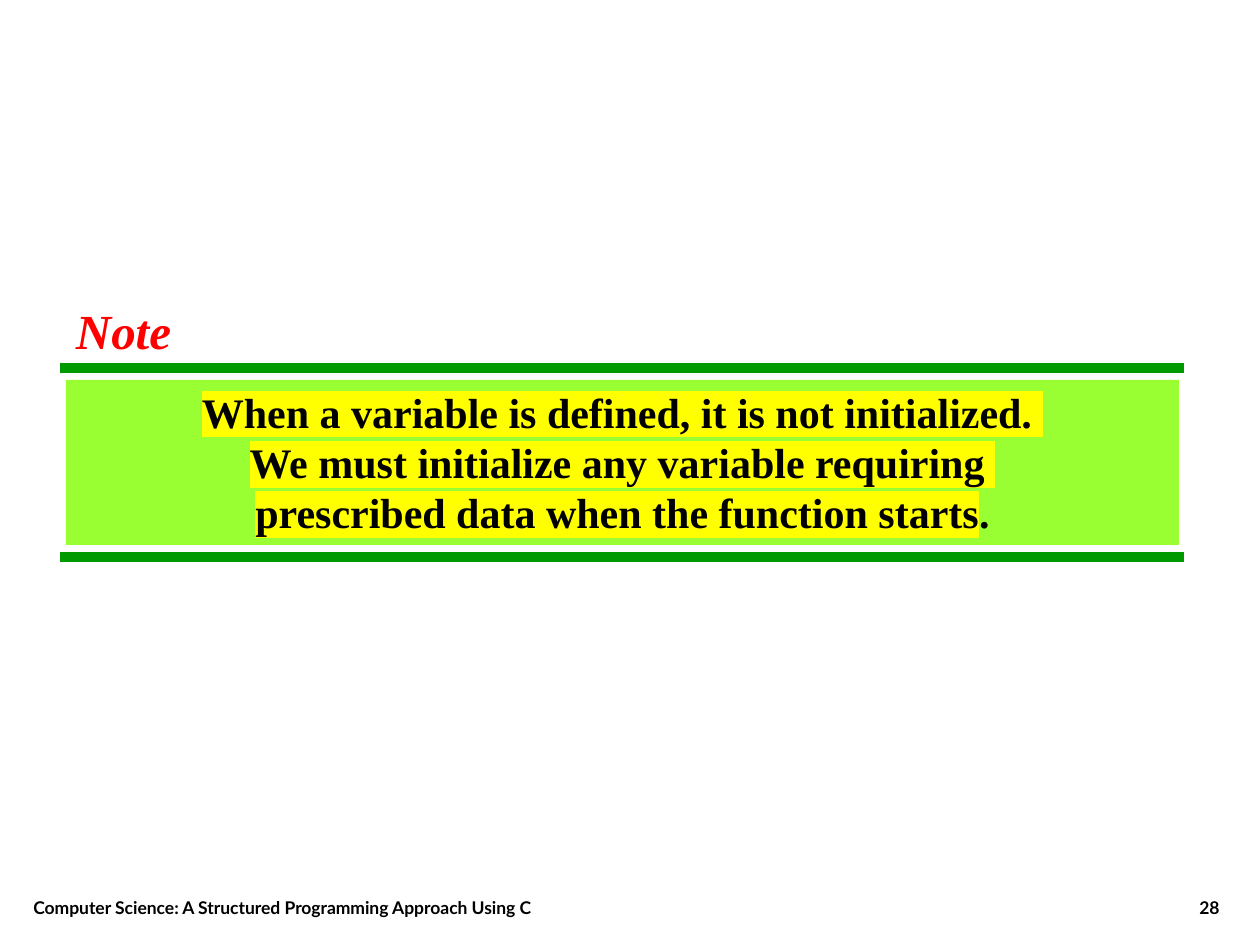
"""Builds a note slide with a highlighted statement between two green rules."""
from lxml.etree import SubElement
from pptx import Presentation
from pptx.dml.color import RGBColor as Color
from pptx.enum.shapes import MSO_CONNECTOR as Connector, MSO_SHAPE as Shape
from pptx.enum.text import MSO_ANCHOR as Anchor, PP_ALIGN as Align
from pptx.oxml.ns import qn
from pptx.util import Pt

FOOTER = "Computer Science: A Structured Programming Approach Using C"
PAGE_NUMBER = "28"
HEADING = "Note"
STATEMENT = [
    "When a variable is defined, it is not initialized. ",
    "We must initialize any variable requiring ",
    "prescribed data when the function starts",
]
STATEMENT_END = "."

THEME = {
    "ink": "000000", "heading": "FF0000", "rule": "009900",
    "panel": "99FF33", "marker": "FFFF00",
    "serif": "Times New Roman", "sans": "Lato",
    "footer_size": 10, "statement_size": 24, "heading_size": 28, "rule_width": 6,
}
EMU_PER_PIXEL = 914400 // 126
RULE_LEFT, RULE_RIGHT = 60, 1184
RULE_TOPS = (368, 557)


def px(*lengths):
    return [round(length * 914400 / 126) for length in lengths]


def add_span(para, text, font, size, color="ink", italic=False, marker=None):
    span = para.add_run()
    span.text = text
    span.font.name = THEME[font]
    span.font.size = Pt(THEME[size])
    span.font.bold = True
    span.font.italic = italic
    span.font.color.rgb = Color.from_string(THEME[color])
    if marker:
        properties = span.font._element
        highlight = SubElement(properties, qn("a:highlight"))
        SubElement(highlight, qn("a:srgbClr"), val=THEME[marker])
        properties.find(qn("a:solidFill")).addnext(highlight)


def add_label(page, text, place, align=Align.LEFT, anchor=Anchor.TOP, wrap=True, **style):
    frame = page.shapes.add_textbox(*px(*place)).text_frame
    frame.word_wrap = wrap
    frame.vertical_anchor = anchor
    frame.paragraphs[0].alignment = align
    add_span(frame.paragraphs[0], text, **style)


def add_rule(page, top):
    rule = page.shapes.add_connector(
        Connector.STRAIGHT, *px(RULE_LEFT, top, RULE_RIGHT, top))
    rule.line.color.rgb = Color.from_string(THEME["rule"])
    rule.line.width = Pt(THEME["rule_width"])
    SubElement(rule._element.spPr, qn("a:effectLst"))


def add_statement(page, place):
    panel = page.shapes.add_shape(Shape.RECTANGLE, *px(*place))
    panel.shadow.inherit = False
    panel.fill.solid()
    panel.fill.fore_color.rgb = Color.from_string(THEME["panel"])
    panel.line.fill.background()
    panel.text_frame.word_wrap = True
    panel.text_frame.vertical_anchor = Anchor.TOP
    para = panel.text_frame.paragraphs[0]
    para.alignment = Align.CENTER
    style = {"font": "serif", "size": "statement_size"}
    for index, line in enumerate(STATEMENT):
        if index:
            para.add_line_break()
        add_span(para, line, marker="marker", **style)
    add_span(para, STATEMENT_END, **style)


deck = Presentation()
deck.slide_width, deck.slide_height = px(1260, 945)
page = deck.slides.add_slide(deck.slide_layouts[6])

footer_style = {"font": "sans", "size": "footer_size", "anchor": Anchor.BOTTOM}
add_label(page, FOOTER, (21, 861, 714, 63), **footer_style)
add_label(page, PAGE_NUMBER, (970, 861, 262, 63), align=Align.RIGHT, **footer_style)
for top in RULE_TOPS:
    add_rule(page, top)
add_statement(page, (66, 380, 1113, 165))
add_label(page, HEADING, (63, 294, 121, 72), align=Align.CENTER, wrap=False,
          font="serif", size="heading_size", color="heading", italic=True)

deck.save("out.pptx")
